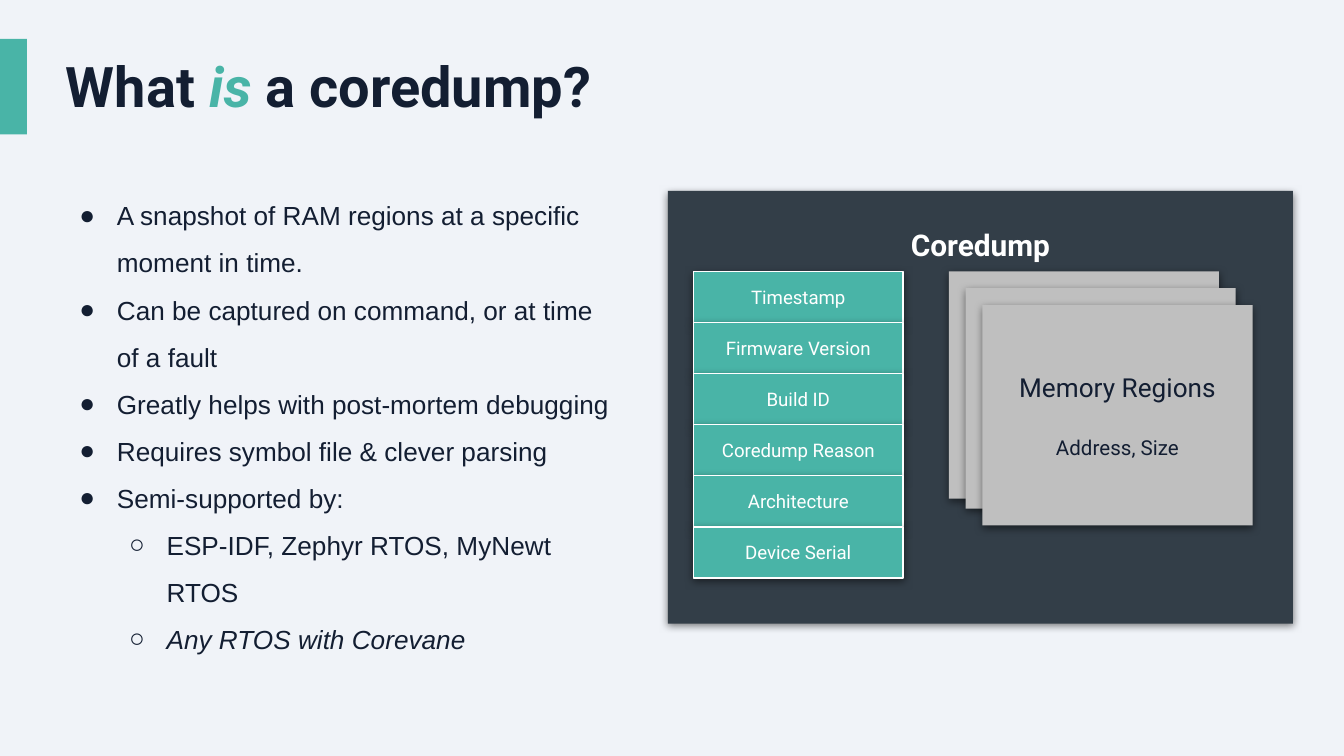
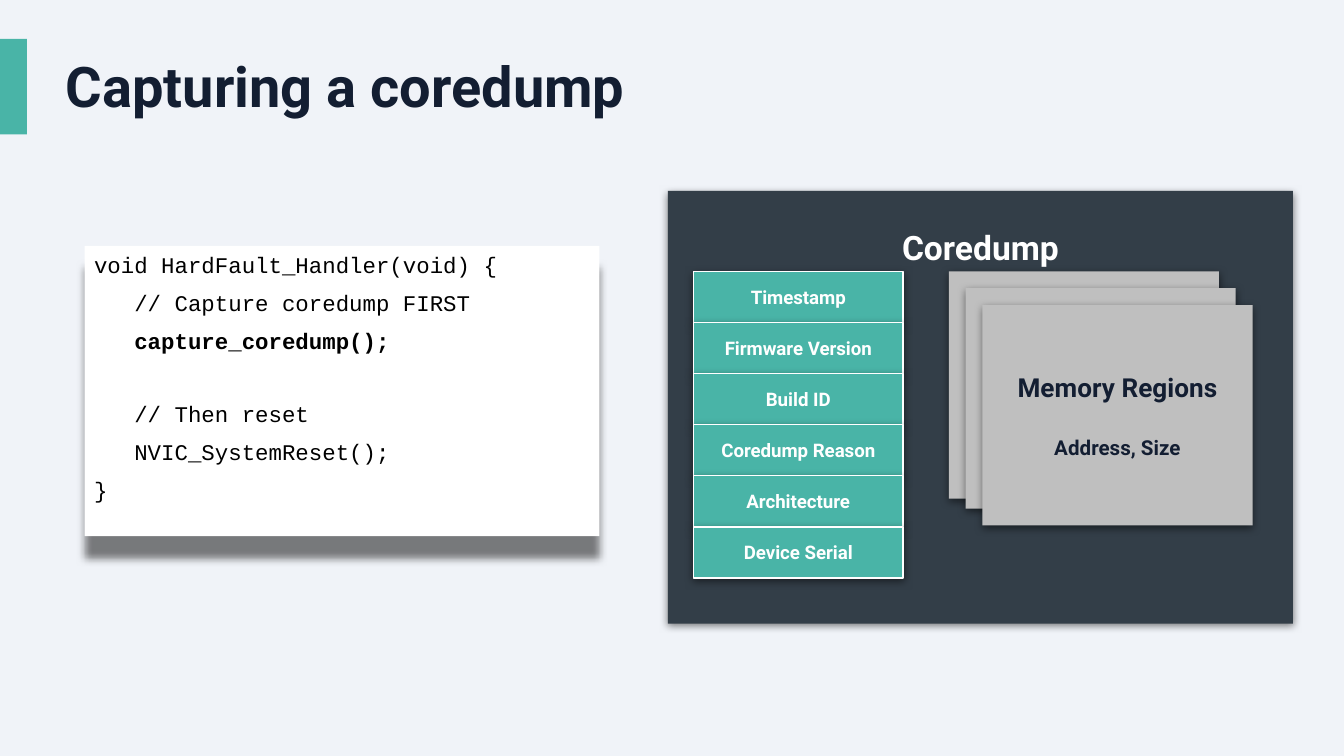
from lxml import etree
from pptx import Presentation
from pptx.dml.color import RGBColor
from pptx.enum import shapes, text
from pptx.oxml import ns
from pptx.util import Inches, Pt

PAPER, INK, TEAL, SLATE = "F0F3F8", "131E32", "49B4A7", "333E48"
GREY, WHITE, BLACK = "BFBFBF", "FFFFFF", "000000"
HEADING_FONT, BODY_FONT, CODE_FONT = "Roboto", "Arial", "Courier New"
CENTER, LEFT = text.PP_ALIGN.CENTER, text.PP_ALIGN.LEFT
TOP, MIDDLE = text.MSO_ANCHOR.TOP, text.MSO_ANCHOR.MIDDLE

DUMP_BOX = (4.97, 1.42, 4.65, 3.22)
FIELDS = ["Timestamp", "Firmware Version", "Build ID",
          "Coredump Reason", "Architecture", "Device Serial"]
BULLETS = [
    (0, "A snapshot of RAM regions at a specific moment in time."),
    (0, "Can be captured on command, or at time of a fault"),
    (0, "Greatly helps with post-mortem debugging"),
    (0, "Requires symbol file & clever parsing"),
    (0, "Semi-supported by:"),
    (1, "ESP-IDF, Zephyr RTOS, MyNewt RTOS"),
    (1, "Any RTOS with Corevane"),
]
CODE_GAP, CODE_BREAK = 5.8, 25
CODE = [
    ("void HardFault_Handler(void) {", 0),
    ("   // Capture coredump FIRST", CODE_GAP),
    ("   capture_coredump();", CODE_GAP),
    ("   // Then reset", CODE_BREAK),
    ("   NVIC_SystemReset();", CODE_GAP),
    ("}", CODE_GAP),
]


def color(value):
    return RGBColor.from_string(value)


def add_element(parent, tag, **attributes):
    element = etree.SubElement(parent, ns.qn(tag))
    for name, value in attributes.items():
        element.set(name, str(value))
    return element


def apply(target, **values):
    for name, value in values.items():
        setattr(target, name, value)


def add_run(paragraph, words, size, fill, name=HEADING_FONT, **styles):
    run = paragraph.add_run()
    run.text = words
    apply(run.font, size=Pt(size), name=name, **styles)
    run.font.color.rgb = color(fill)


def set_frame(shape, anchor=TOP, top=0.04):
    frame = shape.text_frame
    apply(frame, word_wrap=True, auto_size=text.MSO_AUTO_SIZE.NONE,
          vertical_anchor=anchor, margin_left=Inches(0.07),
          margin_right=Inches(0.07), margin_top=Inches(top),
          margin_bottom=Inches(0.04))
    return frame


def add_paragraph(frame, first, **values):
    paragraph = frame.paragraphs[0] if first else frame.add_paragraph()
    apply(paragraph, **values)
    return paragraph


def add_block(parts, box, fill, outline=None, shadow=None):
    """Add a rectangle; shadow is its drop in points."""
    block = parts.add_shape(shapes.MSO_SHAPE.RECTANGLE, *map(Inches, box))
    block.shadow.inherit = False
    block.fill.solid()
    block.fill.fore_color.rgb = color(fill)
    if outline:
        block.line.color.rgb = color(outline)
        block.line.width = Pt(0.75)
    else:
        block.line.fill.background()
    if shadow:
        effects = block._element.spPr.find(ns.qn("a:effectLst"))
        outer = add_element(effects, "a:outerShdw", blurRad=Pt(4.5),
                            dist=Pt(shadow), dir=90 * 60000,
                            algn="bl", rotWithShape=0)
        tint = add_element(outer, "a:srgbClr", val=BLACK)
        add_element(tint, "a:alpha", val=50000)
    return block


def add_titled_slide(presentation, title_runs):
    """Add a slide with its side band and a title of (words, accented) runs."""
    slide = presentation.slides.add_slide(presentation.slide_layouts[5])
    add_block(slide.shapes, (0, 0.29, 0.2, 0.71), TEAL)
    title = slide.shapes.title
    apply(title, left=Inches(0.42), top=Inches(0.4),
          width=Inches(5.94), height=Inches(0.53))
    paragraph = add_paragraph(set_frame(title, MIDDLE), True,
                              alignment=LEFT, line_spacing=0.9)
    for words, accented in title_runs:
        add_run(paragraph, words, 30, TEAL if accented else INK,
                bold=True, italic=accented)
    return slide


def add_bullets(slide, box):
    frame = set_frame(slide.shapes.add_textbox(*map(Inches, box)))
    for index, (level, words) in enumerate(BULLETS):
        paragraph = add_paragraph(frame, index == 0, level=level, line_spacing=1.5)
        properties = paragraph._p.get_or_add_pPr()
        properties.set("marL", str(Inches((0.38, 0.75)[level])))
        properties.set("indent", str(Inches(-0.28)))
        tint = add_element(properties, "a:buClr")
        add_element(tint, "a:srgbClr", val=INK)
        add_element(properties, "a:buFont", typeface=BODY_FONT)
        add_element(properties, "a:buChar", char="●○"[level])
        add_run(paragraph, words, 14, INK, BODY_FONT,
                italic=index == len(BULLETS) - 1)


def add_code(slide, box):
    frame = set_frame(add_block(slide.shapes, box, WHITE, shadow=12))
    for index, (line, gap) in enumerate(CODE):
        paragraph = add_paragraph(frame, index == 0, alignment=LEFT,
                                  space_before=Pt(gap))
        add_run(paragraph, line, 12, BLACK, CODE_FONT,
                bold="capture_coredump" in line)


def add_coredump(slide, box, heading_size, bold):
    """Draw the coredump panel: header fields beside stacked memory regions."""
    parts = slide.shapes.add_group_shape().shapes
    left, top = box[:2]
    panel = add_block(parts, box, SLATE, shadow=1.5)
    heading = add_paragraph(set_frame(panel, top=0.27), True, alignment=CENTER)
    add_run(heading, "Coredump", heading_size, WHITE, bold=True)

    for row, field in enumerate(FIELDS):
        cell = add_block(parts, (left + 0.19, top + 0.6 + row * 0.38, 1.56, 0.38),
                         TEAL, WHITE, 1.5)
        label = add_paragraph(set_frame(cell, MIDDLE), True, alignment=CENTER)
        add_run(label, field, 10, WHITE, bold=bold)

    for step, height in enumerate((1.69, 1.64, 1.64)):
        shift = step * 0.125
        card = add_block(parts, (left + 2.09 + shift, top + 0.6 + shift, 2.01, height),
                         GREY, shadow=1.5)
    frame = set_frame(card, MIDDLE)
    for words, size, gap in (("Memory Regions", 14, 0), ("Address, Size", 11, 17)):
        paragraph = add_paragraph(frame, gap == 0, alignment=CENTER,
                                  space_before=Pt(gap))
        add_run(paragraph, words, size, INK, bold=bold)


def main():
    presentation = Presentation()
    apply(presentation, slide_width=Inches(10), slide_height=Inches(90 / 16))
    background = presentation.slide_master.background.fill
    background.solid()
    background.fore_color.rgb = color(PAPER)

    definition = add_titled_slide(
        presentation, [("What ", False), ("is", True), (" a coredump?", False)])
    add_bullets(definition, (0.42, 1.33, 4.2, 3.49))
    add_coredump(definition, DUMP_BOX, heading_size=16, bold=False)

    capture = add_titled_slide(presentation, [("Capturing a coredump", False)])
    add_code(capture, (0.63, 1.83, 3.83, 2.16))
    add_coredump(capture, DUMP_BOX, heading_size=18, bold=True)

    presentation.save("out.pptx")


if __name__ == "__main__":
    main()
